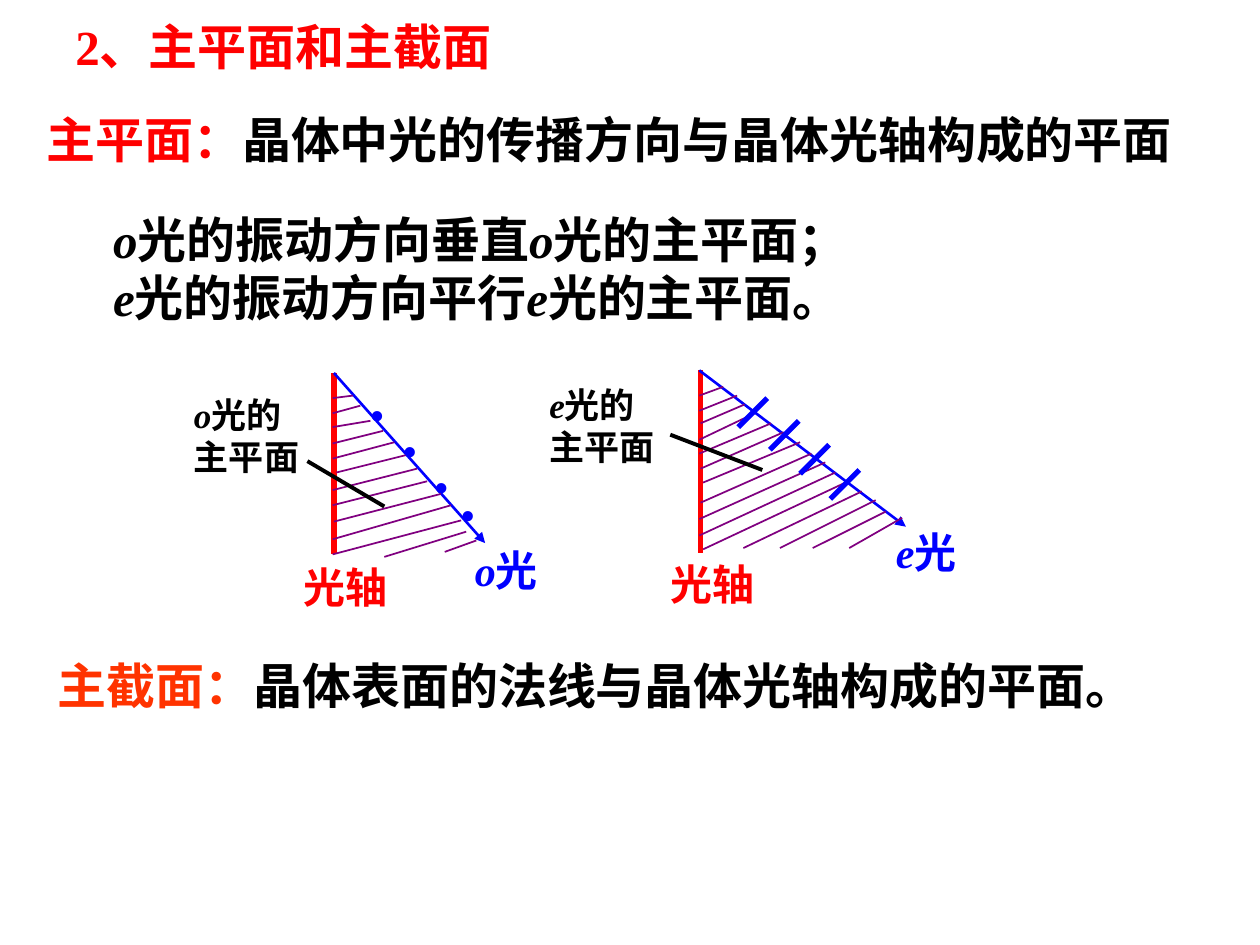
import pptx
import pptx.util
import pptx.dml.color
import pptx.enum.shapes
import pptx.enum.text
import pptx.oxml.ns
from lxml import etree

RGBColor = pptx.dml.color.RGBColor
RED = RGBColor(0xFF, 0x00, 0x00)
ORANGE = RGBColor(0xFF, 0x33, 0x00)
BLUE = RGBColor(0x00, 0x00, 0xFF)
PURPLE = RGBColor(0x80, 0x00, 0x80)
BLACK = RGBColor(0x00, 0x00, 0x00)
SERIF, SANS = "Times New Roman", "Noto Sans CJK SC"
JUSTIFY = pptx.enum.text.PP_ALIGN.JUSTIFY
TICK = 0.23  # width and height of a vibration tick

# Headings: box, then spans as (text, colour, font)
HEADINGS = [
    ((0.5, 0.08, 4.42, 0.57), [("2、", RED, SERIF), ("主平面和主截面", RED, SANS)]),
    ((0.27, 0.82, 9.45, 0.57), [("主平面：", RED, SANS),
                                ("晶体中光的传播方向与晶体光轴构成的平面", BLACK, SANS)]),
    ((0.36, 5.15, 8.89, 0.57), [("主截面：", ORANGE, SANS),
                                ("晶体表面的法线与晶体光轴构成的平面。", BLACK, SANS)]),
]
RULES_BOX = (0.8, 1.61, 7.82, 1.04)
RULES = [["o", "光的振动方向垂直", "o", "光的主平面；"],
         ["e", "光的振动方向平行", "e", "光的主平面。"]]

# Diagrams: lines are (x1, y1, x2, y2), boxes are (left, top, width, height)
DIAGRAMS = [
    {"ray": "e",
     "axis_line": (5.56, 2.94, 5.56, 4.39),
     "ray_line": (5.55, 2.94, 7.19, 4.18),
     "leader": (5.32, 3.45, 6.05, 3.73),
     "ray_box": (7.1, 4.17, 0.7, 0.43),
     "axis_box": (5.31, 4.42, 0.73, 0.4),
     "plane_box": (4.35, 3.03, 1.1, 0.58),
     "ticks": [(5.86, 3.39), (6.11, 3.57), (6.35, 3.76), (6.59, 3.96)],
     "dots": [],
     "hatches": [
         (5.55, 3.14, 5.74, 3.07), (5.55, 3.26, 5.85, 3.14), (5.56, 3.36, 5.91, 3.21),
         (5.55, 3.49, 5.99, 3.28), (5.55, 3.6, 6.12, 3.36), (5.56, 3.72, 6.22, 3.43),
         (5.58, 3.83, 6.35, 3.51), (5.56, 3.99, 6.44, 3.6), (5.55, 4.12, 6.55, 3.67),
         (5.55, 4.25, 6.63, 3.75), (5.58, 4.36, 6.71, 3.83), (5.9, 4.35, 6.84, 3.9),
         (6.19, 4.35, 6.95, 3.97), (6.45, 4.35, 7.03, 4.06), (6.74, 4.35, 7.16, 4.11)]},
    {"ray": "o",
     "axis_line": (2.65, 2.96, 2.65, 4.4),
     "ray_line": (2.65, 2.96, 3.85, 4.31),
     "leader": (2.44, 3.66, 3.05, 4.02),
     "ray_box": (3.76, 4.31, 0.7, 0.43),
     "axis_box": (2.4, 4.45, 0.73, 0.4),
     "plane_box": (1.53, 3.11, 1.17, 0.62),
     "ticks": [],
     "dots": [(2.9, 2.96), (3.16, 3.25), (3.41, 3.53), (3.62, 3.76)],
     "hatches": [
         (2.64, 3.16, 2.8, 3.14), (2.64, 3.28, 2.86, 3.22), (2.64, 3.39, 2.94, 3.34),
         (2.64, 3.52, 3.04, 3.42), (2.64, 3.64, 3.13, 3.51), (2.67, 3.75, 3.23, 3.61),
         (2.64, 3.89, 3.31, 3.72), (2.64, 4.01, 3.39, 3.82), (2.65, 4.14, 3.5, 3.92),
         (2.64, 4.28, 3.58, 4.01), (2.64, 4.4, 3.66, 4.13), (3.05, 4.42, 3.7, 4.22),
         (3.53, 4.38, 3.78, 4.29)]},
]

deck = pptx.Presentation()
deck.slide_width, deck.slide_height = pptx.util.Inches(10), pptx.util.Inches(7.5)
page = deck.slides.add_slide(deck.slide_layouts[6])


def inches(values):
    return [pptx.util.Inches(value) for value in values]


def add_text(paragraphs, place, size, color=BLACK, font=SERIF, align=JUSTIFY, inset=(0.01, 0.01)):
    """A span is a string, or (text, colour, font); a lone o or e is italic."""
    box = page.shapes.add_textbox(*inches(place))
    frame = box.text_frame
    frame.word_wrap = True
    frame.margin_left = frame.margin_right = pptx.util.Inches(inset[0])
    frame.margin_top = frame.margin_bottom = pptx.util.Inches(inset[1])
    for index, spans in enumerate(paragraphs):
        para = frame.paragraphs[0] if index == 0 else frame.add_paragraph()
        para.alignment = align
        for item in spans:
            text, span_color, span_font = (item, color, font) if isinstance(item, str) else item
            span = para.add_run()
            span.text = text
            span.font.size = pptx.util.Pt(size)
            span.font.bold = True
            span.font.italic = text in ("o", "e")
            span.font.color.rgb = span_color
            span.font.name = span_font
            east_asian = etree.SubElement(span.font._element, pptx.oxml.ns.qn("a:ea"))
            east_asian.set("typeface", SANS)


def add_line(ends, color, width, arrow=False):
    line = page.shapes.add_connector(pptx.enum.shapes.MSO_CONNECTOR.STRAIGHT, *inches(ends))
    line.line.color.rgb = color
    line.line.width = pptx.util.Pt(width)
    if arrow:
        tail = etree.SubElement(line.line._get_or_add_ln(), pptx.oxml.ns.qn("a:tailEnd"))
        tail.set("type", "triangle")
    etree.SubElement(line._element.spPr, pptx.oxml.ns.qn("a:effectLst"))


# Headings and vibration rules
for place, spans in HEADINGS:
    add_text([spans], place, 28, inset=(0.1, 0.05))
add_text(RULES, RULES_BOX, 28, align=None, inset=(0.1, 0.05))

# Principal plane diagrams
for diagram in DIAGRAMS:
    add_line(diagram["axis_line"], RED, 3)
    add_line(diagram["ray_line"], BLUE, 1.5, arrow=True)
    for hatch in diagram["hatches"]:
        add_line(hatch, PURPLE, 1)
    for left, bottom in diagram["ticks"]:
        add_line((left, bottom, left + TICK, bottom - TICK), BLUE, 3)
    for left, top in diagram["dots"]:
        add_text([["·"]], (left, top, 0.67, 0.55), 36, color=BLUE)
    add_text([[diagram["ray"], "光"]], diagram["ray_box"], 24, color=BLUE)
    add_text([["光轴"]], diagram["axis_box"], 24, color=RED)
    add_text([[diagram["ray"], "光的"], ["主平面"]], diagram["plane_box"], 20)
    add_line(diagram["leader"], BLACK, 2.25)

deck.save("out.pptx")
